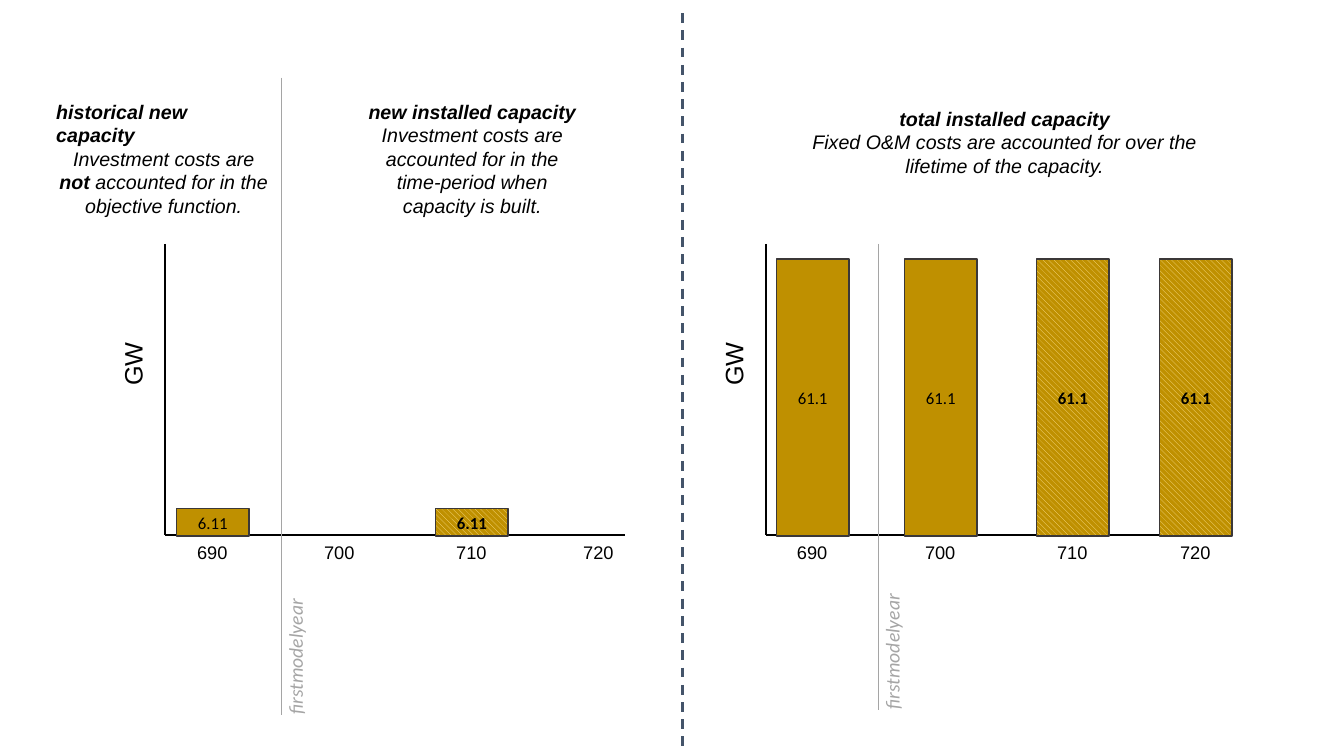
from dataclasses import dataclass

from lxml import etree
from pptx import Presentation
from pptx.dml.color import RGBColor
from pptx.enum.dml import MSO_LINE, MSO_PATTERN
from pptx.enum.shapes import MSO_CONNECTOR, MSO_SHAPE
from pptx.enum.text import MSO_ANCHOR, MSO_AUTO_SIZE, PP_ALIGN
from pptx.oxml.ns import qn
from pptx.slide import Slide
from pptx.text.text import TextFrame
from pptx.util import Inches, Pt

LEFT, CENTER = PP_ALIGN.LEFT, PP_ALIGN.CENTER
MIDDLE, TOP = MSO_ANCHOR.MIDDLE, MSO_ANCHOR.TOP
FIT_TEXT = MSO_AUTO_SIZE.SHAPE_TO_FIT_TEXT
STRAIGHT, RECTANGLE = MSO_CONNECTOR.STRAIGHT, MSO_SHAPE.RECTANGLE
DASH, HATCH = MSO_LINE.DASH, MSO_PATTERN.WIDE_DOWNWARD_DIAGONAL

BLACK, GREY, NAVY = "000000", "A5A5A5", "44546A"
GOLD, PALE_GOLD, OUTLINE = "BF9000", "FFE699", "3B3838"
BASELINE, AXIS_TOP, AXIS_WIDTH = 5.31, 2.42, 4.56
BAR_WIDTH, BAR_INSET, BAR_BOTTOM = 0.72, 0.05, 5.32
INCHES_PER_GW = 0.045


@dataclass(frozen=True)
class Span:
    text: str
    bold: bool = False
    italic: bool = False


@dataclass(frozen=True)
class Paragraph:
    spans: tuple[Span, ...]
    align: PP_ALIGN = CENTER


@dataclass(frozen=True)
class Style:
    size: float
    font: str = "Arial"
    color: str = BLACK


@dataclass(frozen=True)
class Area:
    left: float
    top: float
    width: float
    height: float


@dataclass(frozen=True)
class Caption:
    area: Area
    paragraphs: tuple[Paragraph, ...]


@dataclass(frozen=True)
class Year:
    label: str
    offset: float
    capacity: float = 0
    hatched: bool = False


@dataclass(frozen=True)
class Panel:
    axis: float
    first_year_x: float
    first_year_top: float
    first_year_bottom: float
    years: tuple[Year, ...]


CAPTION_STYLE, YEAR_STYLE, UNIT_STYLE = Style(14), Style(13), Style(18)
BAR_STYLE = Style(12, "Calibri")
FIRST_YEAR_STYLE = Style(14, "Calibri", GREY)


def heading(text: str, align: PP_ALIGN = CENTER) -> Paragraph:
    return Paragraph((Span(text, True, True),), align)


def remark(text: str) -> Paragraph:
    return Paragraph((Span(text, italic=True),))


CAPTIONS = (
    Caption(Area(0.46, 0.94, 2.33, 1.27), (
        heading("historical new capacity", LEFT),
        Paragraph((
            Span("Investment costs are ", italic=True),
            Span("not", True, True),
            Span(" accounted for in the objective function.", italic=True),
        )),
    )),
    Caption(Area(3.52, 0.94, 2.33, 1.27), (
        heading("new installed capacity"),
        remark("Investment costs are accounted for in the time-period when capacity is built."),
    )),
    Caption(Area(7.7, 1.01, 4.53, 0.8), (
        heading("total installed capacity"),
        remark("Fixed O&M costs are accounted for over the lifetime of the capacity."),
    )),
)

PANELS = (
    Panel(1.64, 2.79, 0.77, 7.09, (
        Year("690", 0.06, 6.11),
        Year("700", 1.32),
        Year("710", 2.63, 6.11, True),
        Year("720", 3.89),
    )),
    Panel(7.6, 8.71, 2.42, 7.04, (
        Year("690", 0.05, 61.1),
        Year("700", 1.32, 61.1),
        Year("710", 2.63, 61.1, True),
        Year("720", 3.85, 61.1, True),
    )),
)


def rgb(color: str) -> RGBColor:
    return RGBColor.from_string(color)


def fill_text(frame: TextFrame, paragraphs: tuple[Paragraph, ...], style: Style) -> None:
    for index, paragraph in enumerate(paragraphs):
        para = frame.add_paragraph() if index else frame.paragraphs[0]
        para.alignment = paragraph.align
        for span in paragraph.spans:
            run = para.add_run()
            run.text = span.text
            run.font.name = style.font
            run.font.size = Pt(style.size)
            run.font.color.rgb = rgb(style.color)
            run.font.bold = span.bold
            run.font.italic = span.italic


def add_text(page: Slide, area: Area, paragraphs: tuple[Paragraph, ...], style: Style,
             rotation: float = 0, wrap: bool = True) -> None:
    box = page.shapes.add_textbox(Inches(area.left), Inches(area.top),
                                  Inches(area.width), Inches(area.height))
    box.rotation = rotation
    box.text_frame.word_wrap = wrap
    box.text_frame.auto_size = FIT_TEXT
    box.text_frame.vertical_anchor = TOP
    fill_text(box.text_frame, paragraphs, style)


def add_line(page: Slide, start: tuple[float, float], end: tuple[float, float],
             color: str, width: float, dashed: bool = False) -> None:
    line = page.shapes.add_connector(STRAIGHT, Inches(start[0]), Inches(start[1]),
                                     Inches(end[0]), Inches(end[1]))
    line.line.color.rgb = rgb(color)
    line.line.width = Pt(width)
    if dashed:
        line.line.dash_style = DASH
    etree.SubElement(line._element.spPr, qn("a:effectLst"))


def add_bar(page: Slide, left: float, year: Year) -> None:
    height = year.capacity * INCHES_PER_GW
    bar = page.shapes.add_shape(RECTANGLE, Inches(left), Inches(BAR_BOTTOM - height),
                                Inches(BAR_WIDTH), Inches(height))
    bar.shadow.inherit = False
    if year.hatched:
        bar.fill.patterned()
        bar.fill.pattern = HATCH
        bar.fill.fore_color.rgb = rgb(PALE_GOLD)
        bar.fill.back_color.rgb = rgb(GOLD)
    else:
        bar.fill.solid()
        bar.fill.fore_color.rgb = rgb(GOLD)
    bar.line.color.rgb = rgb(OUTLINE)
    bar.line.width = Pt(1)
    bar.text_frame.word_wrap = True
    bar.text_frame.vertical_anchor = MIDDLE
    value = Paragraph((Span(str(year.capacity), year.hatched),))
    fill_text(bar.text_frame, (value,), BAR_STYLE)


def add_panel(page: Slide, panel: Panel) -> None:
    corner = (panel.axis, BASELINE)
    add_line(page, corner, (panel.axis + AXIS_WIDTH, BASELINE), BLACK, 1.25)
    add_line(page, (panel.axis, AXIS_TOP), corner, BLACK, 1.25)
    add_text(page, Area(panel.axis - 0.64, 3.41, 0.63, 0.4),
             (Paragraph((Span("GW"),), LEFT),), UNIT_STYLE, 270, False)
    for year in panel.years:
        left = panel.axis + year.offset
        add_text(page, Area(left, 5.32, 0.81, 0.31),
                 (Paragraph((Span(year.label),)),), YEAR_STYLE)
        if year.capacity:
            add_bar(page, left + BAR_INSET, year)
    add_line(page, (panel.first_year_x, panel.first_year_top),
             (panel.first_year_x, panel.first_year_bottom), GREY, 0.75)
    add_text(page, Area(panel.first_year_x - 0.8, panel.first_year_bottom - 1, 1.87, 0.33),
             (Paragraph((Span("firstmodelyear", italic=True),), LEFT),), FIRST_YEAR_STYLE, 270)


def main() -> None:
    deck = Presentation()
    deck.slide_width, deck.slide_height = Inches(13.33), Inches(7.5)
    page = deck.slides.add_slide(deck.slide_layouts[6])
    for panel in PANELS:
        add_panel(page, panel)
    for caption in CAPTIONS:
        add_text(page, caption.area, caption.paragraphs, CAPTION_STYLE)
    add_line(page, (6.77, 0.13), (6.77, 7.4), NAVY, 1.75, True)
    deck.save("out.pptx")


if __name__ == "__main__":
    main()
